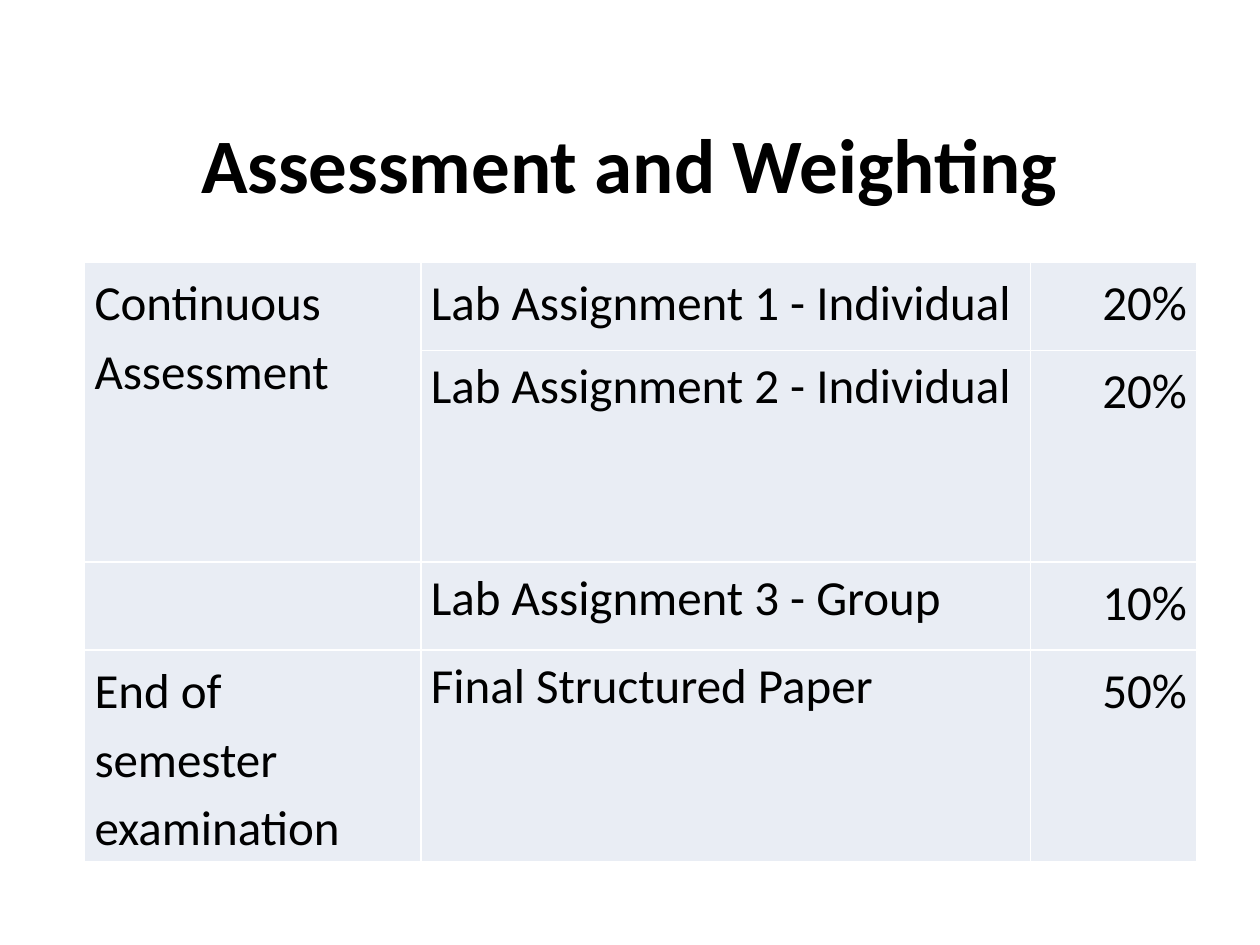
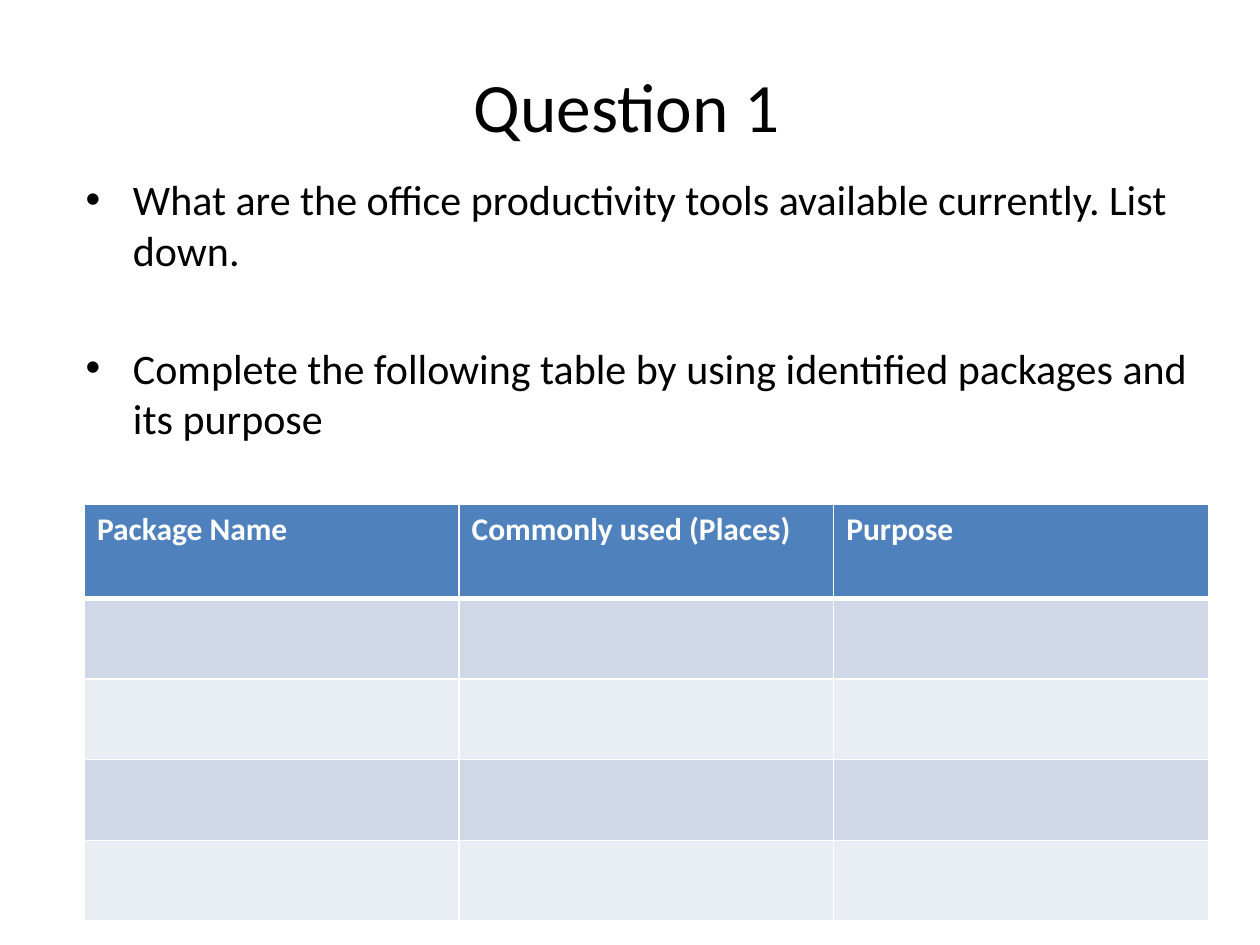
from dataclasses import dataclass
from pptx import Presentation
from pptx.dml.color import RGBColor
from pptx.enum.text import PP_ALIGN, MSO_ANCHOR, MSO_AUTO_SIZE
from pptx.oxml.ns import qn
from pptx.util import Inches, Pt
from lxml.etree import SubElement


@dataclass(frozen=True)
class Theme:
    font: str = "Calibri"
    ink: str = "000000"
    white: str = "FFFFFF"
    head: str = "4F81BD"
    dark: str = "D0D8E8"
    light: str = "E9EDF4"
    title: float = 44
    question: float = 39.6
    grade: float = 28
    body: float = 24
    label: float = 18
    rule: float = 1
    thick: float = 3


theme = Theme()


def write(para, text, size, color=theme.ink, bold=False):
    run = para.add_run()
    run.text = text
    font = run.font
    font.name, font.size, font.bold = theme.font, Pt(size), bold
    font.color.rgb = RGBColor.from_string(color)


def paint(cell, fill, top=theme.rule, bottom=theme.rule):
    """Give a cell white borders and a solid fill."""
    props = cell._tc.get_or_add_tcPr()
    sides = {"lnL": theme.rule, "lnR": theme.rule, "lnT": top, "lnB": bottom}
    for side, width in sides.items():
        line = SubElement(props, qn("a:" + side), w=str(Pt(width)))
        solid = SubElement(line, qn("a:solidFill"))
        SubElement(solid, qn("a:srgbClr"), val=theme.white)
    cell.fill.solid()
    cell.fill.fore_color.rgb = RGBColor.from_string(fill)


deck = Presentation()
deck.slide_width, deck.slide_height = Inches(10), Inches(7.5)

# Titles
heads = [
    (5, "Assessment and Weighting", theme.title, True, (0.5, 0.67, 9, 1.25)),
    (1, "Question 1", theme.question, False, (0.5, 0.42, 8.95, 0.82)),
]
slides = []
for layout, text, size, bold, box in heads:
    slide = deck.slides.add_slide(deck.slide_layouts[layout])
    title = slide.shapes.title
    title.left, title.top, title.width, title.height = map(Inches, box)
    frame = title.text_frame
    frame.auto_size = MSO_AUTO_SIZE.NONE
    frame.vertical_anchor = MSO_ANCHOR.MIDDLE
    frame.paragraphs[0].alignment = PP_ALIGN.CENTER
    write(frame.paragraphs[0], text, size, bold=bold)
    slides.append(slide)
weights, question = slides

# Assessment table
grades = [
    ("Continuous Assessment", "Lab Assignment 1 - Individual", "20%"),
    ("", "Lab Assignment 2 - Individual", "20%"),
    ("", "Lab Assignment 3 - Group", "10%"),
    ("End of semester examination", "Final Structured Paper", "50%"),
]
widths = [2.67, 4.84, 1.32]
heights = [0.7, 1.68, 0.7, 1.68]
aligns = [PP_ALIGN.LEFT, PP_ALIGN.JUSTIFY, PP_ALIGN.RIGHT]
table = weights.shapes.add_table(
    len(grades), len(widths), Inches(0.67), Inches(2.08),
    Inches(sum(widths)), Inches(sum(heights))).table
table.first_row = table.horz_banding = False
for col, width in zip(table.columns, widths):
    col.width = Inches(width)
for r, (row, height) in enumerate(zip(table.rows, heights)):
    row.height = Inches(height)
    for c, cell in enumerate(row.cells):
        paint(cell, theme.light)
        cell.margin_left = cell.margin_right = Inches(0.08)
        cell.margin_top = cell.margin_bottom = Inches(0.02)
        if grades[r][c]:
            para = cell.text_frame.paragraphs[0]
            para.alignment = aligns[c]
            para.line_spacing = 1.07 if c == 1 and r else 1.15
            write(para, grades[r][c], theme.grade)
table.cell(0, 0).merge(table.cell(1, 0))

# Question list
tasks = [
    "What are the office productivity tools available currently. List down.",
    "Complete the following table by using identified packages and its purpose",
]
body = question.placeholders[1]
body.left, body.top = Inches(0.58), Inches(1.33)
body.width, body.height = Inches(8.95), Inches(3.42)
frame = body.text_frame
frame.auto_size = MSO_AUTO_SIZE.NONE
for i, task in enumerate(tasks):
    para = frame.add_paragraph() if i else frame.paragraphs[0]
    para.space_before = Pt(38.5 if i else 0)
    write(para, task, theme.body)

# Answer table
labels = ["Package Name", "Commonly used (Places)", "Purpose"]
heights = [0.75] + [0.64] * 4
table = question.shapes.add_table(
    len(heights), len(labels), Inches(0.67), Inches(4),
    Inches(8.92), Inches(sum(heights))).table
for r, (row, height) in enumerate(zip(table.rows, heights)):
    row.height = Inches(height)
    for c, cell in enumerate(row.cells):
        if r == 0:
            paint(cell, theme.head, bottom=theme.thick)
            write(cell.text_frame.paragraphs[0], labels[c], theme.label,
                  theme.white, True)
        else:
            paint(cell, theme.dark if r % 2 else theme.light,
                  top=theme.thick if r == 1 else theme.rule)

deck.save("out.pptx")
